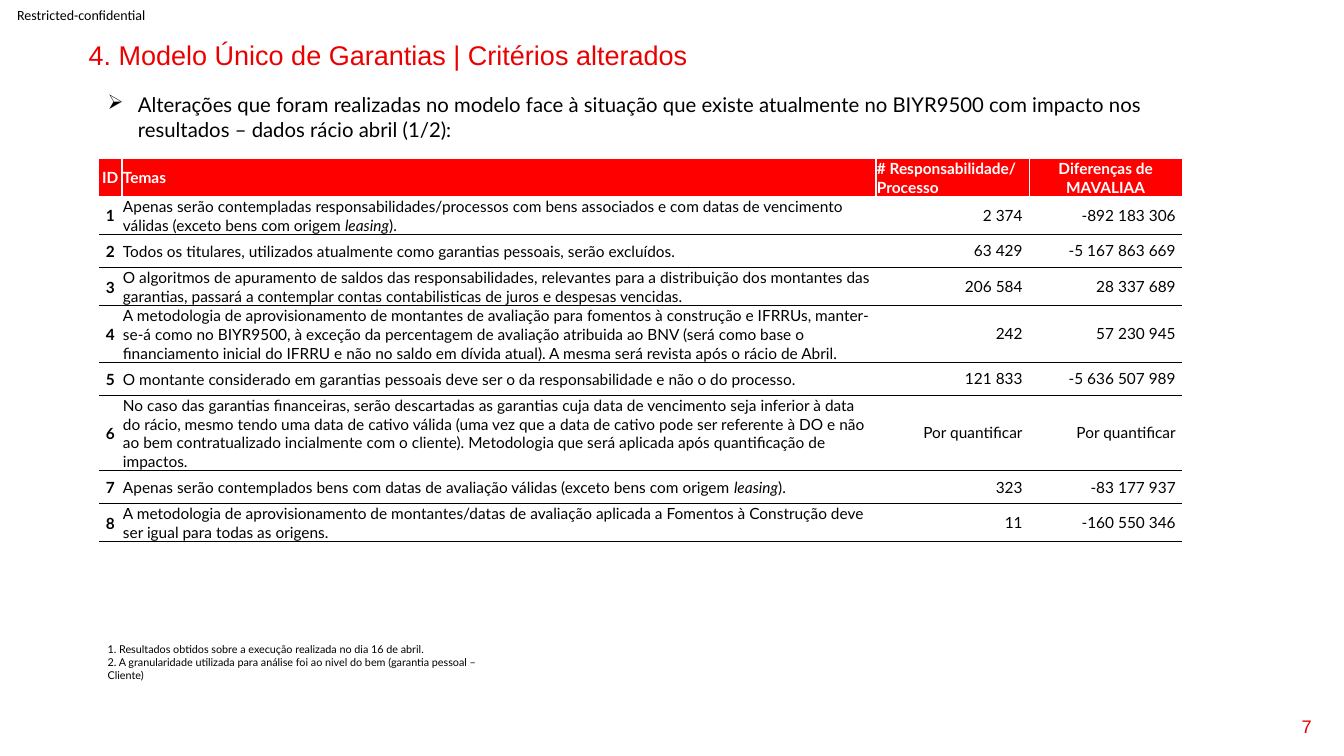
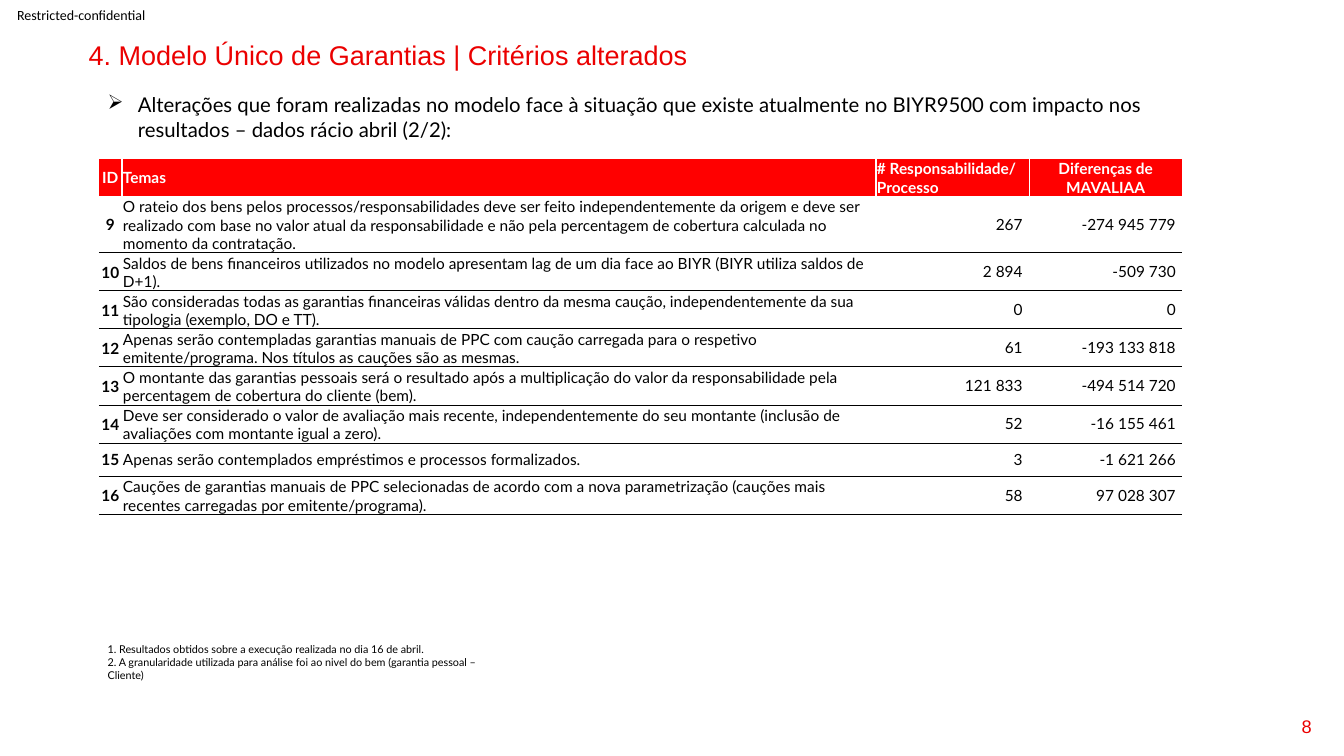
from math import ceil

from pptx import Presentation
from pptx.dml.color import RGBColor
from pptx.enum.text import MSO_ANCHOR as ANC, PP_ALIGN as AL
from pptx.oxml.ns import qn
from pptx.util import Pt
from lxml.etree import SubElement as Sub

RED, FILL, BLACK, WHITE = "EB0000", "FF0000", "000000", "FFFFFF"
PLAIN = "{2D5ABB26-0587-4C30-8999-92F81FD0307C}"  # table style without grid

MARK = "Restricted-confidential"
TITLE = "4. Modelo Único de Garantias | Critérios alterados"
LEAD = ("Alterações que foram realizadas no modelo face à situação que existe "
        "atualmente no BIYR9500 com impacto nos resultados – dados rácio abril ({}/{}):")
NOTES = [
    "1. Resultados obtidos sobre a execução realizada no dia 16 de abril.",
    "2. A granularidade utilizada para análise foi ao nivel do bem (garantia pessoal – Cliente)",
]
HEAD = ["ID", "Temas", "# Responsabilidade/ Processo", "Diferenças de MAVALIAA"]
FIRST = 7

# Theme (italics between asterisks), count, difference
PAGES = [
    [
        ("Apenas serão contempladas responsabilidades/processos com bens associados e com "
         "datas de vencimento válidas (exceto bens com origem *leasing*).",
         "2 374", "-892 183 306"),
        ("Todos os titulares, utilizados atualmente como garantias pessoais, serão excluídos.",
         "63 429", "-5 167 863 669"),
        ("O algoritmos de apuramento de saldos das responsabilidades, relevantes para a "
         "distribuição dos montantes das garantias, passará a contemplar contas "
         "contabilisticas de juros e despesas vencidas.",
         "206 584", "28 337 689"),
        ("A metodologia de aprovisionamento de montantes de avaliação para fomentos à "
         "construção e IFRRUs, manter-se-á como no BIYR9500, à exceção da percentagem de "
         "avaliação atribuida ao BNV (será como base o financiamento inicial do IFRRU e não "
         "no saldo em dívida atual). A mesma será revista após o rácio de Abril.",
         "242", "57 230 945"),
        ("O montante considerado em garantias pessoais deve ser o da responsabilidade e não "
         "o do processo.",
         "121 833", "-5 636 507 989"),
        ("No caso das garantias financeiras, serão descartadas as garantias cuja data de "
         "vencimento seja inferior à data do rácio, mesmo tendo uma data de cativo válida "
         "(uma vez que a data de cativo pode ser referente à DO e não ao bem contratualizado "
         "incialmente com o cliente). Metodologia que será aplicada após quantificação de "
         "impactos.",
         "Por quantificar", "Por quantificar"),
        ("Apenas serão contemplados bens com datas de avaliação válidas (exceto bens com "
         "origem *leasing*).",
         "323", "-83 177 937"),
        ("A metodologia de aprovisionamento de montantes/datas de avaliação aplicada a "
         "Fomentos à Construção deve ser igual para todas as origens.",
         "11", "-160 550 346"),
    ],
    [
        ("O rateio dos bens pelos processos/responsabilidades deve ser feito "
         "independentemente da origem e deve ser realizado com base no valor atual da "
         "responsabilidade e não pela percentagem de cobertura calculada no momento da "
         "contratação.",
         "267", "-274 945 779"),
        ("Saldos de bens financeiros utilizados no modelo apresentam lag de um dia face ao "
         "BIYR (BIYR utiliza saldos de D+1).",
         "2 894", "-509 730"),
        ("São consideradas todas as garantias financeiras válidas dentro da mesma caução, "
         "independentemente da sua tipologia (exemplo, DO e TT).",
         "0", "0"),
        ("Apenas serão contempladas garantias manuais de PPC com caução carregada para o "
         "respetivo emitente/programa. Nos títulos as cauções são as mesmas.",
         "61", "-193 133 818"),
        ("O montante das garantias pessoais será o resultado após a multiplicação do valor "
         "da responsabilidade pela percentagem de cobertura do cliente (bem).",
         "121 833", "-494 514 720"),
        ("Deve ser considerado o valor de avaliação mais recente, independentemente do seu "
         "montante (inclusão de avaliações com montante igual a zero).",
         "52", "-16 155 461"),
        ("Apenas serão contemplados empréstimos e processos formalizados.",
         "3", "-1 621 266"),
        ("Cauções de garantias manuais de PPC selecionadas de acordo com a nova "
         "parametrização (cauções mais recentes carregadas por emitente/programa).",
         "58", "97 028 307"),
    ],
]

# Box styles: place, font, frame and paragraph values
STYLES = {
    "mark": dict(at=(0, 0, 116, 21), font=("Calibri", 10, BLACK), inset=(0, 0),
                 frame=dict(vertical_anchor=ANC.MIDDLE), para=dict(alignment=AL.CENTER)),
    "page": dict(at=(728, 504, 216, 28.8), font=("Arial", 13, RED),
                 frame=dict(vertical_anchor=ANC.MIDDLE), para=dict(alignment=AL.RIGHT)),
    "title": dict(at=(56.2, 26.6, 846.7, 23.8), font=("Arial", 19.3, RED),
                  para=dict(line_spacing=0.9)),
    "lead": dict(at=(69.8, 62.6, 757.4, 42.5), font=("Lato", 14.5, BLACK), bullet="➢"),
    "notes": dict(at=(69.8, 455.4, 301, 36), font=("Lato", 7.7, BLACK)),
}

LEFT, TOP = 70.56, 113
COLS = [16.56, 538.56, 109.44, 109.44]
HEAD_H, MIN_H, LINE_H, LINE_LEN = 27.2, 23.8, 13.4, 105
INDENT = 21.6
TIGHT = dict(margin_left=Pt(0.72), margin_top=Pt(0.72), margin_right=Pt(0.72), margin_bottom=0)
NUMBER = dict(margin_left=0, margin_top=0, margin_right=Pt(4.6), margin_bottom=0)


def color(hex):
    return RGBColor.from_string(hex)


def apply(obj, vals):
    for name, val in vals.items():
        setattr(obj, name, val)


def style(font, name, size, hue, **more):
    apply(font, dict(name=name, size=Pt(size), **more))
    font.color.rgb = color(hue)


def bullet(para, char):
    props = para._p.get_or_add_pPr()
    props.set("marL", str(Pt(INDENT)))
    props.set("indent", str(-Pt(INDENT)))
    Sub(props, qn("a:buChar"), char=char)


def box(slide, kind, *lines):
    look = STYLES[kind]
    frame = slide.shapes.add_textbox(*map(Pt, look["at"])).text_frame
    side, end = look.get("inset", (7.2, 3.6))
    apply(frame, dict(word_wrap=True, margin_left=Pt(side), margin_right=Pt(side),
                      margin_top=Pt(end), margin_bottom=Pt(end), **look.get("frame", {})))
    for i, line in enumerate(lines):
        para = frame.add_paragraph() if i else frame.paragraphs[0]
        if "bullet" in look:
            bullet(para, look["bullet"])
        apply(para, look.get("para", {}))
        run = para.add_run()
        run.text = line
        style(run.font, *look["font"])


def border(cell, sides, hue, width):
    """Draw the given sides, in the order L, R, T, B, ahead of the cell fill."""
    props = cell._tc.get_or_add_tcPr()
    for i, side in enumerate(sides):
        line = Sub(props, qn(f"a:ln{side}"), w=str(Pt(width)))
        Sub(Sub(line, qn("a:solidFill")), qn("a:srgbClr"), val=hue)
        props.insert(i, line)


def fill(cell, text, hue, bold, align, inset):
    apply(cell, dict(vertical_anchor=ANC.MIDDLE, **inset))
    para = cell.text_frame.paragraphs[0]
    para.alignment = align
    for i, part in enumerate(text.split("*")):
        run = para.add_run()
        run.text = part
        style(run.font, "Lato", 11, hue, bold=bold, italic=i % 2 == 1)


def grid(slide, rows, start):
    heights = [HEAD_H] + [max(MIN_H, LINE_H * ceil(len(row[0]) / LINE_LEN)) for row in rows]
    frame = slide.shapes.add_table(len(heights), len(COLS), Pt(LEFT), Pt(TOP),
                                   Pt(sum(COLS)), Pt(sum(heights)))
    table = frame.table
    table._tbl.tblPr.find(qn("a:tableStyleId")).text = PLAIN
    table.horz_banding = False
    for col, width in zip(table.columns, COLS):
        col.width = Pt(width)
    for row, height in zip(table.rows, heights):
        row.height = Pt(height)

    for c, (text, align) in enumerate(zip(HEAD, (AL.CENTER, AL.LEFT, AL.LEFT, AL.CENTER))):
        cell = table.cell(0, c)
        fill(cell, text, WHITE, True, align, TIGHT)
        cell.fill.solid()
        cell.fill.fore_color.rgb = color(FILL)
        border(cell, "LRTB", WHITE, 1)

    for r, row in enumerate(rows, 1):
        for c, text in enumerate((str(start + r - 1), *row)):
            cell = table.cell(r, c)
            align = (AL.CENTER, AL.LEFT, AL.RIGHT, AL.RIGHT)[c]
            fill(cell, text, BLACK, c == 0, align, TIGHT if c < 2 else NUMBER)
            cell.fill.background()
            border(cell, "B", BLACK, 0.5)


def main():
    prs = Presentation()
    prs.slide_width, prs.slide_height = Pt(960), Pt(540)
    start = 1
    for i, rows in enumerate(PAGES):
        slide = prs.slides.add_slide(prs.slide_layouts[6])
        box(slide, "mark", MARK)
        box(slide, "page", str(FIRST + i))
        box(slide, "title", TITLE)
        box(slide, "lead", LEAD.format(i + 1, len(PAGES)))
        grid(slide, rows, start)
        box(slide, "notes", *NOTES)
        start += len(rows)
    prs.save("out.pptx")


if __name__ == "__main__":
    main()
